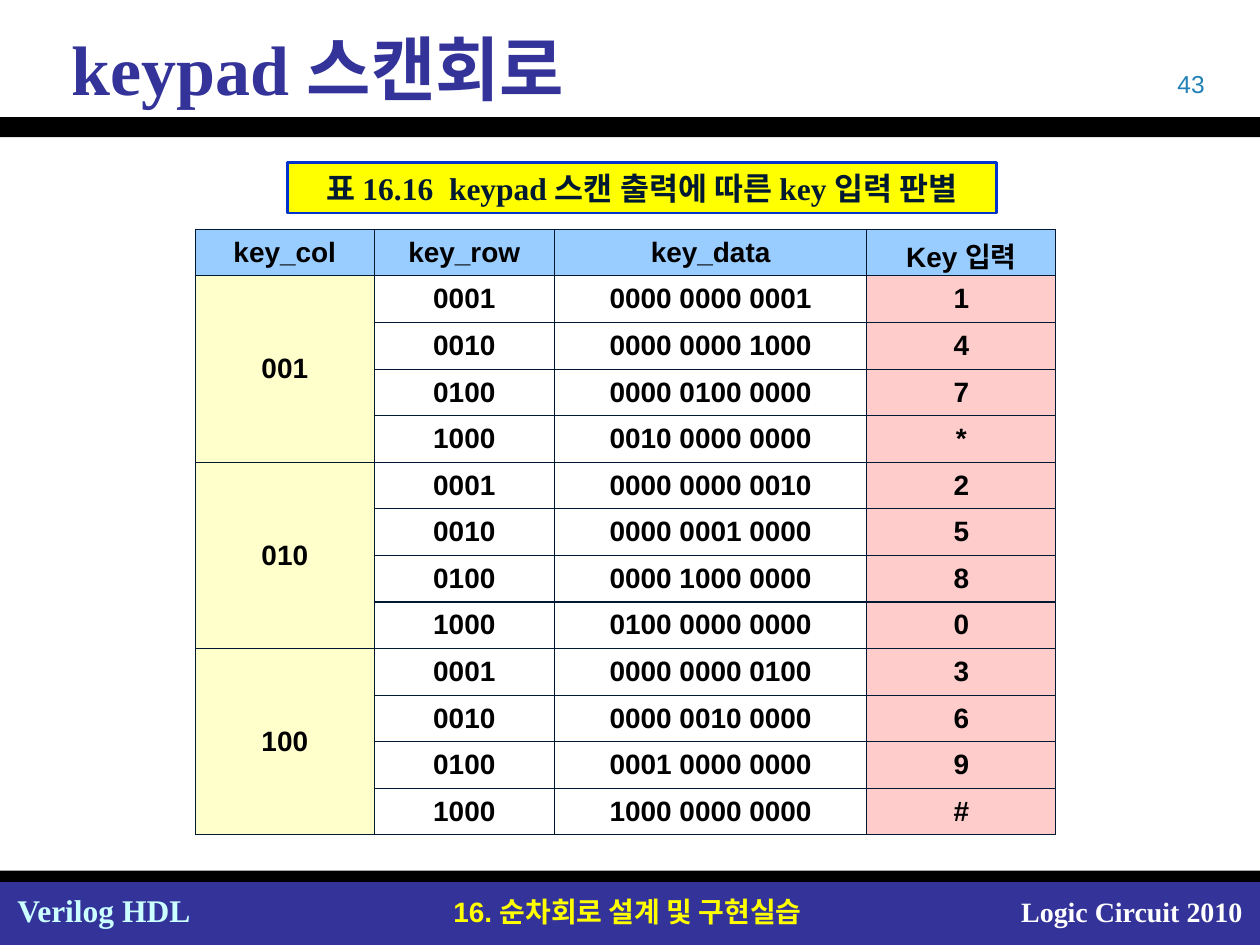
from typing import NamedTuple

from lxml import etree
from pptx import Presentation
from pptx.dml.color import RGBColor
from pptx.enum.shapes import MSO_SHAPE
from pptx.enum.text import MSO_ANCHOR, MSO_AUTO_SIZE, PP_ALIGN
from pptx.oxml.ns import qn
from pptx.util import Inches, Pt

RECTANGLE = MSO_SHAPE.RECTANGLE
MIDDLE = MSO_ANCHOR.MIDDLE
LEFT, CENTER, RIGHT = PP_ALIGN.LEFT, PP_ALIGN.CENTER, PP_ALIGN.RIGHT
SANS, SERIF = "Arial", "Times New Roman"

COLORS = {
    "indigo": "333399",
    "black": "000000",
    "white": "FFFFFF",
    "yellow": "FFFF00",
    "pale_cyan": "CCFFFF",
    "page_blue": "2181B7",
    "caption_line": "0033CC",
    "ink": "001932",
    "header": "99CCFF",
    "column_code": "FFFFCC",
    "key": "FFCCCC",
}

COLUMN_WIDTHS = (1.42, 1.43, 2.48, 1.5)
ROW_HEIGHT = 0.37
HEADERS = ("key_col", "key_row", "key_data", "Key 입력")
KEYPAD_COLUMNS = ("147*", "2580", "369#")
KEYS_PER_COLUMN = 4


class Box(NamedTuple):
    left: float
    top: float
    width: float
    height: float


class Style(NamedTuple):
    size: float
    font: str
    color: str
    bold: bool = True
    align: PP_ALIGN = CENTER


class Label(NamedTuple):
    text: str
    box: Box
    style: Style
    right_inset: float = 0.1


CELL_STYLE = Style(16, SANS, "black")
BARS = (
    (Box(0, 7, 10, 0.5), "indigo"),
    (Box(0, 0.93, 10, 0.16), "black"),
    (Box(0, 6.91, 10, 0.09), "black"),
)
LABELS = (
    Label("16. 순차회로 설계 및 구현실습", Box(3.03, 7.05, 3.9, 0.37), Style(16, SANS, "yellow")),
    Label("Logic Circuit 2010", Box(7.33, 7.05, 2.63, 0.37),
          Style(16, SERIF, "white", align=RIGHT)),
    Label("Verilog HDL", Box(0.04, 7.02, 1.58, 0.4),
          Style(18, SERIF, "pale_cyan", align=LEFT), 0.02),
    Label("43", Box(7.33, 0.5, 2.33, 0.33),
          Style(14, SANS, "page_blue", bold=False, align=RIGHT)),
)


def color(name: str) -> RGBColor:
    return RGBColor.from_string(COLORS[name])


def place(box: Box) -> list:
    return [Inches(length) for length in box]


def write(text_frame, text: str, style: Style) -> None:
    text_frame.text = text
    paragraph = text_frame.paragraphs[0]
    paragraph.alignment = style.align
    for run in paragraph.runs:
        run.font.size = Pt(style.size)
        run.font.name = style.font
        run.font.bold = style.bold
        run.font.color.rgb = color(style.color)


def add_rectangle(slide, box: Box, fill: str):
    shape = slide.shapes.add_shape(RECTANGLE, *place(box))
    shape.shadow.inherit = False
    shape.fill.solid()
    shape.fill.fore_color.rgb = color(fill)
    shape.line.fill.background()
    return shape


def add_label(slide, label: Label) -> None:
    text_frame = slide.shapes.add_textbox(*place(label.box)).text_frame
    text_frame.word_wrap = True
    text_frame.margin_right = Inches(label.right_inset)
    write(text_frame, label.text, label.style)


def set_title(slide, text: str, box: Box) -> None:
    title = slide.shapes.title
    title.left, title.top, title.width, title.height = place(box)
    text_frame = title.text_frame
    text_frame.auto_size = MSO_AUTO_SIZE.NONE
    text_frame.vertical_anchor = MIDDLE
    write(text_frame, text, Style(40, SERIF, "indigo", align=LEFT))
    properties = text_frame.paragraphs[0]._p.get_or_add_pPr()
    properties.set("marL", str(Inches(0.3)))
    properties.set("indent", "0")


def add_caption(slide, text: str, box: Box) -> None:
    shape = add_rectangle(slide, box, "yellow")
    shape.line.color.rgb = color("caption_line")
    shape.line.width = Pt(1.5)
    shape.text_frame.word_wrap = False
    shape.text_frame.vertical_anchor = MIDDLE
    write(shape.text_frame, text, Style(18, SERIF, "ink"))


def set_borders(cell) -> None:
    properties = cell._tc.get_or_add_tcPr()
    for position, side in enumerate(("a:lnL", "a:lnR", "a:lnT", "a:lnB")):
        line = etree.Element(qn(side), w=str(Pt(0.75)))
        fill = etree.SubElement(line, qn("a:solidFill"))
        etree.SubElement(fill, qn("a:srgbClr"), val=COLORS["ink"])
        properties.insert(position, line)


def fill_cell(cell, text: str, fill: str) -> None:
    cell.fill.solid()
    cell.fill.fore_color.rgb = color(fill)
    cell.vertical_anchor = MIDDLE
    set_borders(cell)
    write(cell.text_frame, text, CELL_STYLE)


def key_data(bit: int) -> str:
    digits = f"{1 << bit:012b}"
    return " ".join(digits[start:start + 4] for start in range(0, 12, 4))


def keypad_rows() -> list:
    rows = []
    for column, keys in enumerate(KEYPAD_COLUMNS):
        for row, key in enumerate(keys):
            code = f"{1 << column:03b}" if row == 0 else ""
            bit = row * len(KEYPAD_COLUMNS) + column
            rows.append((code, f"{1 << row:04b}", key_data(bit), key))
    return rows


def add_keypad_table(slide, left: float, top: float) -> None:
    rows = [HEADERS] + keypad_rows()
    box = Box(left, top, sum(COLUMN_WIDTHS), ROW_HEIGHT * len(rows))
    table = slide.shapes.add_table(len(rows), len(HEADERS), *place(box)).table
    table.horz_banding = False
    for column, width in zip(table.columns, COLUMN_WIDTHS):
        column.width = Inches(width)
    for row_index, values in enumerate(rows):
        table.rows[row_index].height = Inches(ROW_HEIGHT)
        fills = ("column_code", "white", "white", "key") if row_index else ("header",) * 4
        for column_index, (text, fill) in enumerate(zip(values, fills)):
            fill_cell(table.cell(row_index, column_index), text, fill)
    for first in range(1, len(rows), KEYS_PER_COLUMN):
        table.cell(first, 0).merge(table.cell(first + KEYS_PER_COLUMN - 1, 0))


def main() -> None:
    presentation = Presentation()
    presentation.slide_width = Inches(10)
    presentation.slide_height = Inches(7.5)
    slide = presentation.slides.add_slide(presentation.slide_layouts[5])
    for box, fill in BARS:
        add_rectangle(slide, box, fill)
    for label in LABELS:
        add_label(slide, label)
    set_title(slide, "keypad 스캔회로", Box(0.17, 0.21, 9.67, 0.65))
    add_keypad_table(slide, 1.55, 1.82)
    add_caption(slide, "표 16.16  keypad 스캔 출력에 따른 key 입력 판별", Box(2.28, 1.29, 5.63, 0.4))
    presentation.save("out.pptx")


if __name__ == "__main__":
    main()
